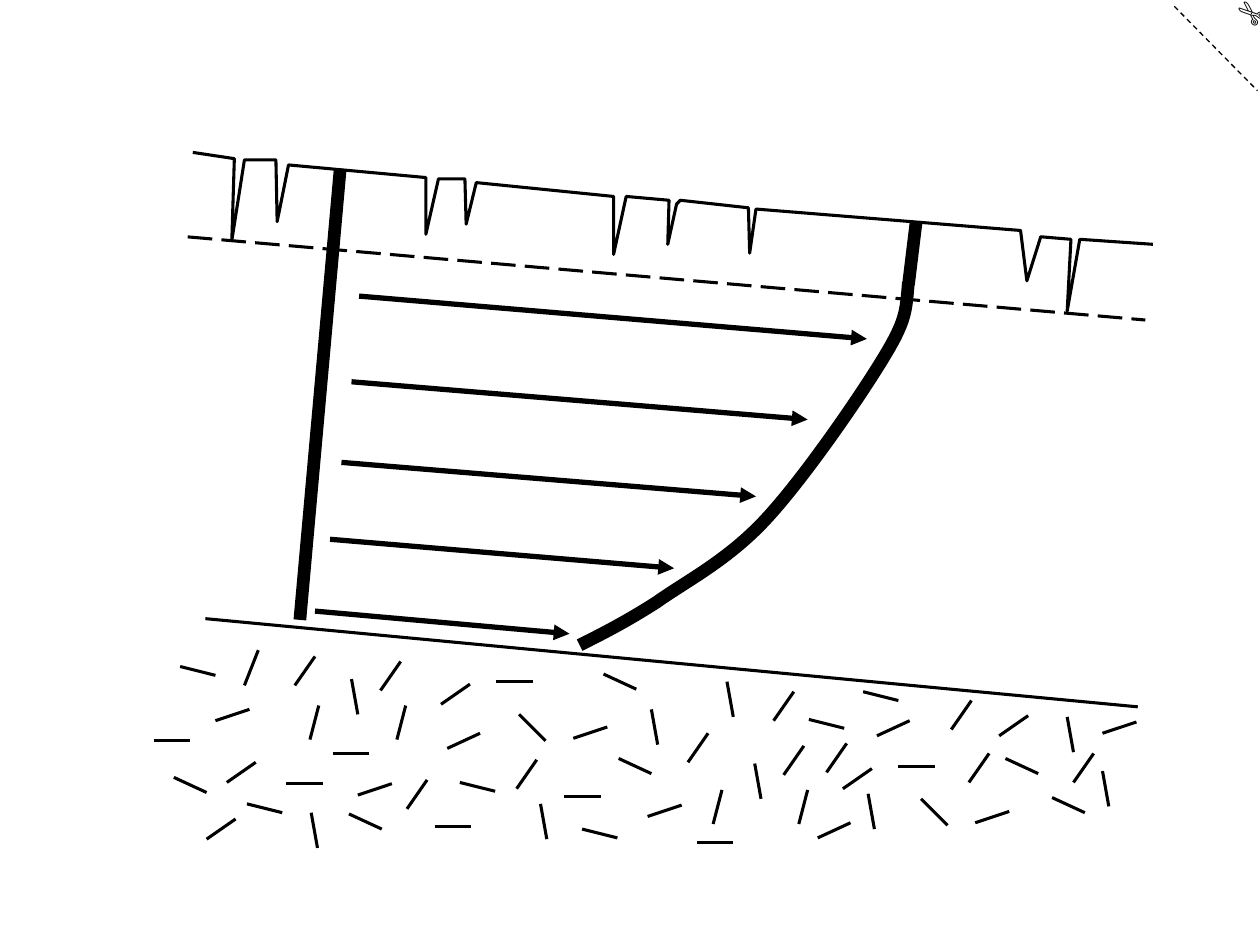
from lxml.etree import SubElement
from pptx import Presentation
from pptx.dml.color import RGBColor
from pptx.enum.dml import MSO_LINE
from pptx.enum.shapes import MSO_CONNECTOR
from pptx.enum.text import MSO_AUTO_SIZE
from pptx.oxml.ns import qn
from pptx.util import Cm, Pt

BLACK = RGBColor(0, 0, 0)
GRID = 2.54  # centimetres in one grid unit
THIN, ARROW, THICK = 1.75, 3, 7.25

# Corners of the cracked surface, in grid units
CRACKS = [
    (0.53, 0.21), (0.86, 0.26), (0.84, 0.91), (0.94, 0.27), (1.19, 0.27),
    (1.2, 0.76), (1.29, 0.31), (2.38, 0.41), (2.38, 0.86), (2.48, 0.42),
    (2.69, 0.42), (2.7, 0.78), (2.78, 0.45), (3.87, 0.56), (3.87, 1.02),
    (3.97, 0.56), (4.31, 0.59), (4.3, 0.94), (4.37, 0.62), (4.4, 0.59),
    (4.94, 0.65), (4.95, 1.01), (5, 0.66), (7.1, 0.83), (7.15, 1.23),
    (7.26, 0.88), (7.5, 0.9), (7.47, 1.47), (7.57, 0.9), (8.15, 0.94),
]

# Start point, then three points for each bend
BEND = [
    (2.6, 4.12),
    (2.78, 4.03), (2.96, 3.94), (3.21, 3.78),
    (3.45, 3.61), (3.77, 3.45), (4.07, 3.13),
    (4.37, 2.81), (4.81, 2.17), (5, 1.86),
    (5.19, 1.55), (5.19, 1.48), (5.21, 1.24),
]

ARROWS = [
    ((0.85, 1.35), (4.88, 1.69)),
    ((0.79, 2.03), (4.41, 2.33)),
    ((0.71, 2.67), (4, 2.94)),
    ((0.62, 3.28), (3.35, 3.51)),
    ((0.5, 3.85), (2.52, 4.03)),
]

# Rock marks: the step of each kind of dash and the left ends that share it
ROCKS = {
    (0.29, 0): [(6.13, 1.08), (3.48, 1.32), (0.22, 0.88), (2.45, 1.56),
                (4.53, 1.69), (1.27, 1.22), (2.94, 0.41), (1.64, 0.98)],
    (0.16, -0.23): [(5.14, 0.72), (5.56, 1.13), (5.22, 1.15), (7.52, 1.21),
                    (6.69, 1.21), (2.23, 1.42), (6.55, 0.79), (1.34, 0.44),
                    (2.02, 0.48), (4.46, 1.05), (3.1, 1.26)],
    (0.23, -0.16): [(5.69, 1.26), (0.8, 1.21), (0.64, 1.66), (6.93, 0.84),
                    (2.5, 0.59)],
    (0.26, -0.12): [(5.49, 1.65), (5.96, 0.84), (2.55, 0.94)],
    (0.27, -0.09): [(1.84, 1.31), (0.71, 0.72), (4.14, 1.48), (6.74, 1.53),
                    (7.75, 0.82), (3.55, 0.86)],
    (0.26, 0.12): [(0.38, 1.17), (1.77, 1.46), (6.98, 1.02), (7.35, 1.33),
                   (3.79, 0.35), (3.91, 1.02)],
    (0.28, 0.07): [(0.96, 1.38), (0.43, 0.29), (2.65, 1.21), (3.62, 1.58),
                   (5.85, 0.49), (5.42, 0.71)],
    (0.05, 0.28): [(1.47, 1.45), (5.89, 1.3), (7.75, 1.12), (4.99, 1.06),
                   (3.29, 1.38), (7.47, 0.69), (4.17, 0.63), (4.77, 0.41),
                   (1.79, 0.39)],
    (0.07, -0.27): [(5.34, 1.54), (4.66, 1.54), (2.15, 0.87), (1.46, 0.87)],
    (0.21, 0.21): [(6.31, 1.34), (3.12, 0.67)],
    (0.11, -0.28): [(0.94, 0.44)],
}


def place(box, point):
    """Turn a point inside a box into slide lengths."""
    return [Cm((a + b) * GRID) for a, b in zip(box, point)]


def ink(shape, width):
    shape.line.color.rgb = BLACK
    shape.line.width = Pt(width)


def draw_line(slide, box, start, end, width=THIN, dash=None, arrow=False):
    line = slide.shapes.add_connector(
        MSO_CONNECTOR.STRAIGHT, *place(box, start), *place(box, end))
    ink(line, width)
    if dash:
        line.line.dash_style = dash
    if arrow:
        SubElement(line.line._get_or_add_ln(), qn("a:tailEnd"), type="triangle")
    SubElement(line._element.spPr, qn("a:effectLst"))


def draw_path(slide, box, points, width):
    start, *rest = [place(box, point) for point in points]
    pen = slide.shapes.build_freeform(*start)
    pen.add_line_segments(rest, close=False)
    shape = pen.convert_to_shape()
    shape.fill.background()
    shape.shadow.inherit = False
    ink(shape, width)
    return shape


def draw_curve(slide, box, points, width):
    shape = draw_path(slide, box, points, width)
    steps = list(shape._element.iter(qn("a:lnTo")))
    trail = steps[0].getparent()
    # Join each three straight steps into one Bezier step
    for i in range(0, len(steps), 3):
        bend = SubElement(trail, qn("a:cubicBezTo"))
        for step in steps[i:i + 3]:
            bend.append(step[0])
            trail.remove(step)


def add_corner(slide, box):
    # Cut line
    draw_line(slide, box, (0.32, 0.05), (0.98, 0.72), 0.75, MSO_LINE.DASH)
    # Scissors, cut off by the slide's edge
    label = slide.shapes.add_textbox(
        *place(box, (0.71, -0.09)), Cm(0.42 * GRID), Cm(0.4 * GRID))
    label.rotation = 220.5
    frame = label.text_frame
    frame.word_wrap = True
    frame.auto_size = MSO_AUTO_SIZE.SHAPE_TO_FIT_TEXT
    frame.text = "✄"
    font = frame.paragraphs[0].runs[0].font
    font.name, font.size = "Calibri", Pt(18)
    font.color.rgb = BLACK


def add_crust(slide, box):
    # Depth limit and cracked surface
    draw_line(slide, box, (0.49, 0.88), (8.09, 1.54), dash=MSO_LINE.LONG_DASH)
    draw_path(slide, box, CRACKS, THIN)


def add_flow(slide, box):
    # Marker before and after the flow
    draw_line(slide, box, (0.7, 0.34), (0.38, 3.92), THICK)
    draw_curve(slide, box, BEND, THICK)
    draw_line(slide, box, (5.27, 0.77), (5.21, 1.26), THICK)
    # Movement arrows
    for start, end in ARROWS:
        draw_line(slide, box, start, end, ARROW, arrow=True)


def add_bed(slide, box):
    # Bed surface
    draw_line(slide, box, (0.63, -0.09), (8.03, 0.61))
    # Rock marks
    for (dx, dy), marks in ROCKS.items():
        for x, y in marks:
            draw_line(slide, box, (x, y), (x + dx, y + dy))


def main():
    deck = Presentation()
    deck.slide_width, deck.slide_height = Cm(25.4), Cm(19.05)
    slide = deck.slides.add_slide(deck.slide_layouts[6])
    add_corner(slide, (9, 0))
    add_flow(slide, (2, 1))
    add_crust(slide, (1, 1))
    add_bed(slide, (1, 5))
    deck.save("out.pptx")


if __name__ == "__main__":
    main()
